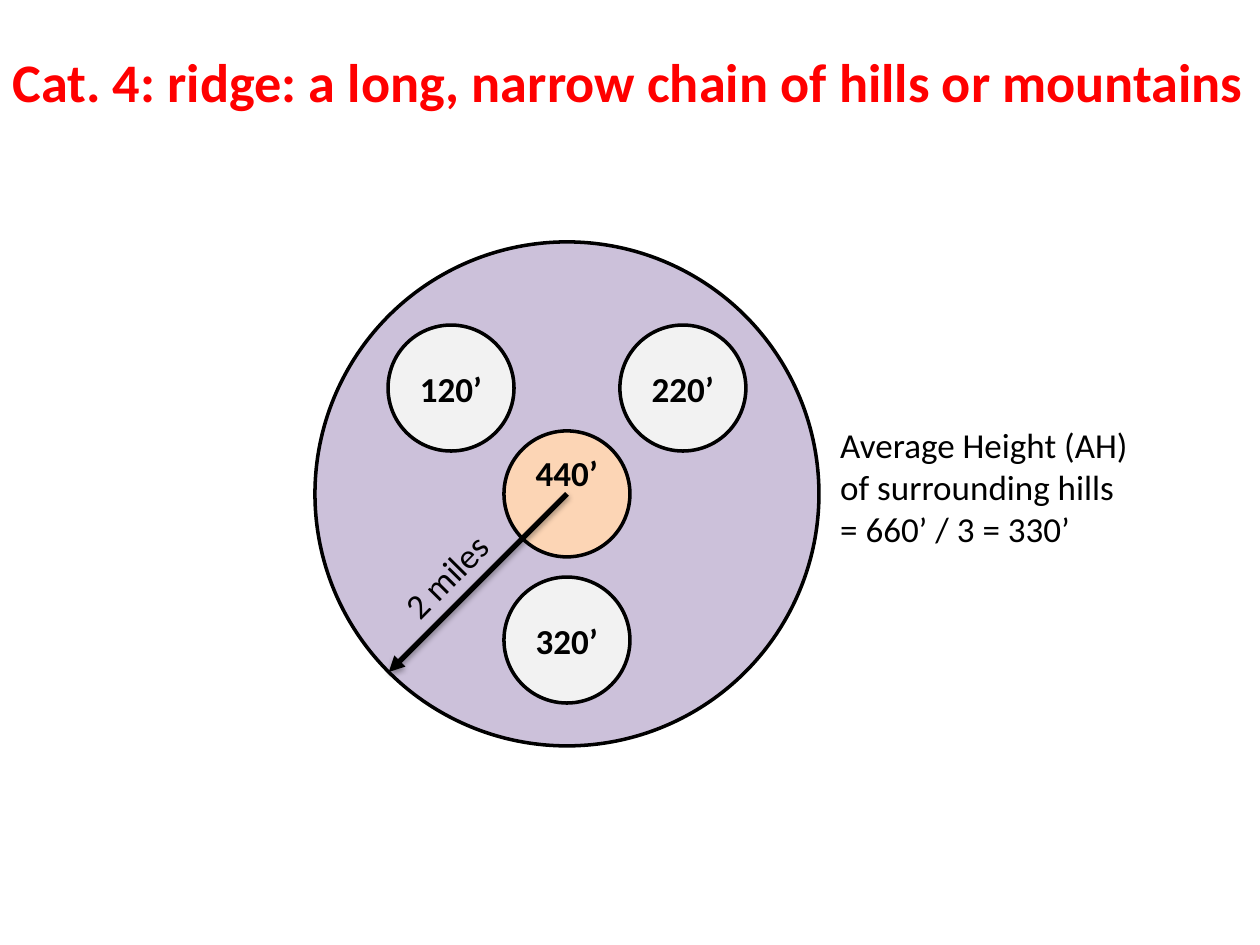
from dataclasses import dataclass
from math import cos, radians

from lxml import etree
from pptx import Presentation
from pptx.dml.color import RGBColor
from pptx.enum.shapes import MSO_CONNECTOR, MSO_SHAPE
from pptx.enum.text import MSO_ANCHOR, PP_ALIGN
from pptx.oxml import parse_xml
from pptx.oxml.ns import nsdecls, qn
from pptx.util import Inches, Pt


@dataclass(frozen=True)
class Theme:
    font: str = "Calibri"
    title_size: float = 31
    body_size: float = 20
    outline_width: float = 2
    arrow_width: float = 3
    black: RGBColor = RGBColor(0x00, 0x00, 0x00)
    red: RGBColor = RGBColor(0xFF, 0x00, 0x00)
    area: RGBColor = RGBColor(0xCC, 0xC1, 0xDA)
    hill: RGBColor = RGBColor(0xF2, 0xF2, 0xF2)
    ridge: RGBColor = RGBColor(0xFC, 0xD5, 0xB5)


THEME = Theme()


def add_run(paragraph, text, size=THEME.body_size, color=THEME.black, bold=False):
    run = paragraph.add_run()
    run.text = text
    run.font.name = THEME.font
    run.font.size = Pt(size)
    run.font.color.rgb = color
    run.font.bold = bold


def add_text(slide, box, lines, **style):
    text_box = slide.shapes.add_textbox(*map(Inches, box))
    frame = text_box.text_frame
    frame.word_wrap = True
    for index, line in enumerate(lines):
        paragraph = frame.add_paragraph() if index else frame.paragraphs[0]
        add_run(paragraph, line, **style)
    return text_box


def add_circle(slide, center_x, center_y, diameter, fill):
    left, top = center_x - diameter / 2, center_y - diameter / 2
    circle = slide.shapes.add_shape(
        MSO_SHAPE.OVAL, *map(Inches, (left, top, diameter, diameter)))
    circle.shadow.inherit = False
    circle.fill.solid()
    circle.fill.fore_color.rgb = fill
    circle.line.color.rgb = THEME.black
    circle.line.width = Pt(THEME.outline_width)
    return circle


def add_hill(slide, center_x, center_y, height, fill=THEME.hill, lift=0):
    """Add a hill whose label sits above the middle by half of lift."""
    hill = add_circle(slide, center_x, center_y, 1, fill)
    frame = hill.text_frame
    frame.vertical_anchor = MSO_ANCHOR.MIDDLE
    frame.margin_left = frame.margin_right = frame.margin_top = 0
    frame.margin_bottom = Inches(lift)
    paragraph = frame.paragraphs[0]
    paragraph.alignment = PP_ALIGN.CENTER
    add_run(paragraph, height, bold=True)


def add_radius_arrow(slide, start, end):
    arrow = slide.shapes.add_connector(
        MSO_CONNECTOR.STRAIGHT, *map(Inches, (*start, *end)))
    arrow.line.color.rgb = THEME.black
    arrow.line.width = Pt(THEME.arrow_width)
    etree.SubElement(arrow.line._get_or_add_ln(), qn("a:tailEnd"), type="triangle")
    arrow._element.spPr.append(parse_xml(
        f'<a:effectLst {nsdecls("a")}>'
        f'<a:outerShdw blurRad="{Pt(3.1)}" dist="{Pt(1.8)}" dir="5400000" rotWithShape="0">'
        '<a:srgbClr val="000000"><a:alpha val="35000"/></a:srgbClr>'
        '</a:outerShdw></a:effectLst>'))


def add_ridge_map(slide, left, top, diameter):
    radius = diameter / 2
    center_x, center_y = left + radius, top + radius
    add_circle(slide, center_x, center_y, diameter, THEME.area)
    hills = ((-0.92, -0.84, "120’"), (0.92, -0.84, "220’"), (0, 1.16, "320’"))
    for offset_x, offset_y, height in hills:
        add_hill(slide, center_x + offset_x, center_y + offset_y, height)
    add_hill(slide, center_x, center_y, "440’", THEME.ridge, lift=0.34)

    reach = radius * cos(radians(45))
    add_radius_arrow(slide, (center_x, center_y), (center_x - reach, center_y + reach))
    label = add_text(slide, (left + 0.53, top + 2.41, 1.07, 0.44), ["2 miles"])
    label.rotation = 314.7


def main():
    presentation = Presentation()
    presentation.slide_width = Inches(10)
    presentation.slide_height = Inches(7.5)
    slide = presentation.slides.add_slide(presentation.slide_layouts[6])

    add_ridge_map(slide, 2.5, 1.92, 4)
    add_text(slide, (6.57, 3.31, 2.6, 1.11),
             ["Average Height (AH) of surrounding hills", "= 660’ / 3 = 330’"])
    add_text(slide, (0, 0.33, 10, 0.62),
             ["Cat. 4: ridge: a long, narrow chain of hills or mountains"],
             size=THEME.title_size, color=THEME.red, bold=True)
    presentation.save("out.pptx")


if __name__ == "__main__":
    main()
